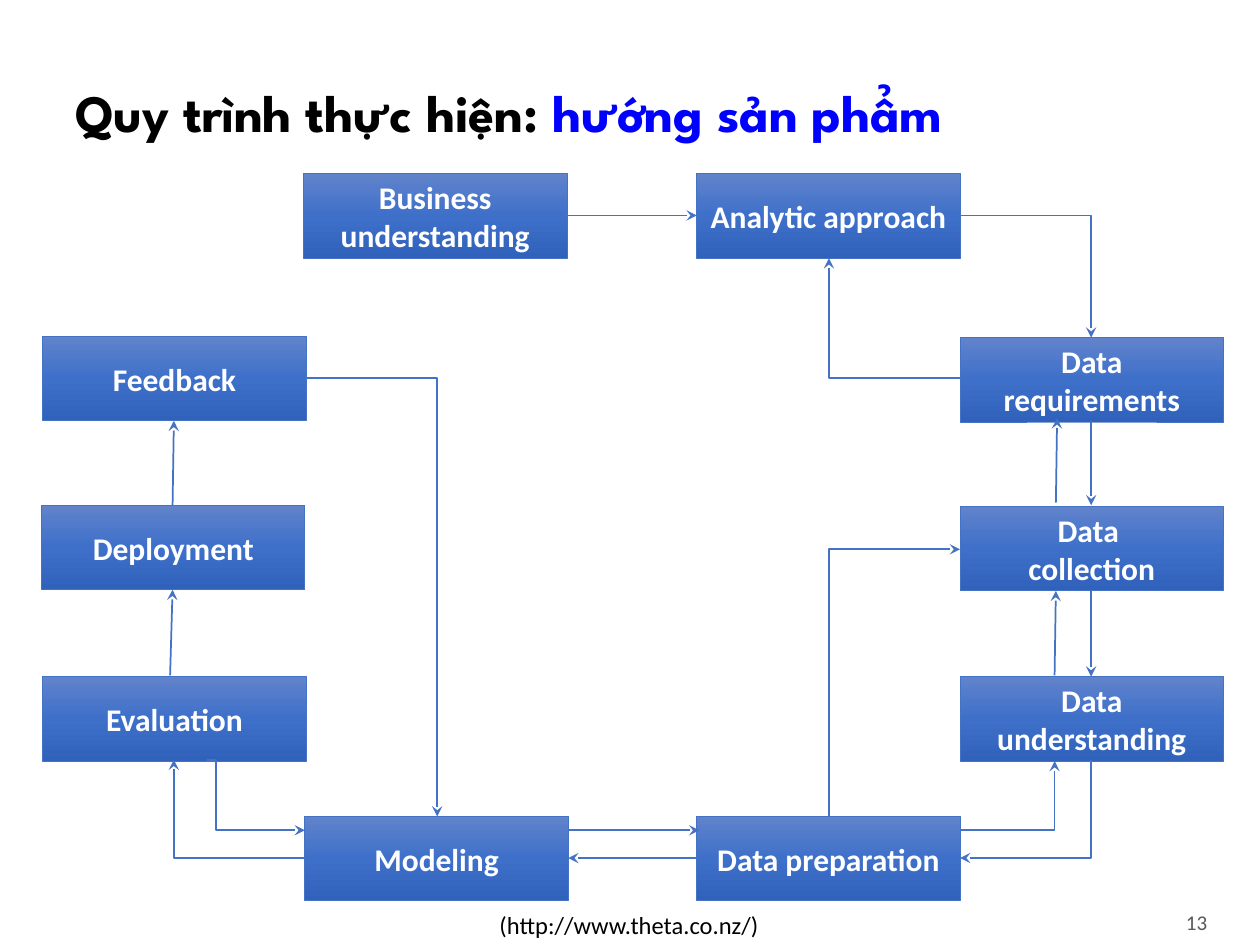
"""Build the product-oriented data science process slide."""
from copy import deepcopy
from typing import NamedTuple, Optional

from pptx import Presentation
from pptx import util as u
from pptx.dml.color import RGBColor
from pptx.enum import shapes, text
from pptx.oxml import parse_xml
from pptx.oxml.ns import nsdecls

PX = 9144
BOX_W, BOX_H = 209, 67
BLACK = RGBColor(0x00, 0x00, 0x00)
WHITE = RGBColor(0xFF, 0xFF, 0xFF)
BLUE = RGBColor(0x00, 0x00, 0xFF)
GREY = RGBColor(0x59, 0x59, 0x59)
LINE = RGBColor(0x44, 0x72, 0xC4)
GRADIENT = (
    (0, RGBColor(0x61, 0x83, 0xCB)),
    (0.5, RGBColor(0x3E, 0x70, 0xCA)),
    (1, RGBColor(0x30, 0x62, 0xBB)),
)


class Step(NamedTuple):
    label: str
    x: int
    y: int


class Arrow(NamedTuple):
    x1: int
    y1: int
    x2: int
    y2: int
    end: str = "tailEnd"


class Elbow(NamedTuple):
    x1: int
    y1: int
    x2: int
    y2: int
    end: str = "tailEnd"
    bend: Optional[int] = None


STEPS = (
    Step("Business understanding", 241, 138),
    Step("Analytic approach", 553, 138),
    Step("Data requirements", 762, 268),
    Step("Data \ncollection", 762, 402),
    Step("Data understanding", 762, 537),
    Step("Data preparation", 553, 648),
    Step("Modeling", 242, 648),
    Step("Evaluation", 34, 537),
    Step("Deployment", 33, 401),
    Step("Feedback", 34, 267),
)
ARROWS = (
    Arrow(449, 171, 553, 171),
    Arrow(866, 334, 866, 401),
    Arrow(866, 469, 866, 537),
    Arrow(137, 401, 138, 334),
    Arrow(135, 536, 137, 468),
    Arrow(837, 536, 838, 469),
    Arrow(838, 399, 839, 332),
    Arrow(553, 681, 451, 681),
    Arrow(555, 659, 452, 659, "headEnd"),
)
ELBOWS = (
    Elbow(762, 171, 866, 268),
    Elbow(762, 436, 658, 648, "headEnd"),
    Elbow(762, 681, 866, 603, "headEnd"),
    Elbow(242, 300, 347, 648),
    Elbow(242, 681, 138, 603),
    Elbow(242, 659, 164, 603, "headEnd", 90500),
    Elbow(762, 659, 837, 604),
    Elbow(762, 300, 658, 205),
)


def write(tf, *runs, size: int, color=BLACK, font: str = "Calibri", bold: bool = False,
          align=text.PP_ALIGN.LEFT, anchor=text.MSO_ANCHOR.MIDDLE, spacing: float = 1.0) -> None:
    """Fill a text frame with one paragraph of (text, colour) or plain runs."""
    tf.word_wrap = True
    tf.vertical_anchor = anchor
    p = tf.paragraphs[0]
    p.alignment = align
    p.line_spacing = spacing
    for run in runs:
        words, rgb = (run, color) if isinstance(run, str) else run
        for i, part in enumerate(words.split("\n")):
            if i:
                p.add_line_break()
            r = p.add_run()
            r.text = part
            r.font.name, r.font.size, r.font.bold = font, u.Pt(size), bold
            r.font.color.rgb = rgb


def add_text(s, x: int, y: int, w: int, h: int, *runs, **fmt) -> None:
    """Add a text box."""
    write(s.shapes.add_textbox(x * PX, y * PX, w * PX, h * PX).text_frame, *runs, **fmt)


def add_step(s, step: Step) -> None:
    """Add one gradient process box."""
    sp = s.shapes.add_shape(shapes.MSO_SHAPE.RECTANGLE, step.x * PX, step.y * PX,
                            BOX_W * PX, BOX_H * PX)
    sp.shadow.inherit = False
    sp.fill.gradient()
    sp.fill.gradient_angle = 270
    stops = sp._element.spPr.xpath(".//a:gsLst")[0]
    stops.insert(1, deepcopy(stops[0]))
    for stop, (position, rgb) in zip(sp.fill.gradient_stops, GRADIENT):
        stop.position = position
        stop.color.rgb = rgb
    sp.line.color.rgb = LINE
    sp.line.width = u.Pt(0.5)
    write(sp.text_frame, step.label, size=18, color=WHITE, bold=True,
          align=text.PP_ALIGN.CENTER)


def add_line(s, a: Arrow | Elbow, kind=shapes.MSO_CONNECTOR.STRAIGHT):
    """Add a connector with a stealth head at the named end."""
    c = s.shapes.add_connector(kind, a.x1 * PX, a.y1 * PX, a.x2 * PX, a.y2 * PX)
    c.line.color.rgb = LINE
    c.line.width = u.Pt(1)
    c.line._get_or_add_ln().append(parse_xml(f'<a:{a.end} {nsdecls("a")} type="stealth"/>'))
    c._element.spPr.append(parse_xml(f'<a:effectLst {nsdecls("a")}/>'))
    return c


def add_elbow(s, e: Elbow) -> None:
    """Add a connector that leaves horizontally and turns at a corner or bend."""
    geom = add_line(s, e, shapes.MSO_CONNECTOR.ELBOW)._element.spPr.prstGeom
    if e.bend is None:
        geom.set("prst", "bentConnector2")
    else:
        geom.get_or_add_avLst().append(
            parse_xml(f'<a:gd {nsdecls("a")} name="adj1" fmla="val {e.bend}"/>'))


def main() -> None:
    """Build and save the slide."""
    prs = Presentation()
    prs.slide_width, prs.slide_height = 1000 * PX, 750 * PX
    s = prs.slides.add_slide(prs.slide_layouts[6])
    add_text(s, 50, 50, 925, 83, "Quy trình thực hiện: ", ("hướng sản phẩm", BLUE),
             size=30, font="League Spartan", bold=True, spacing=0.9)
    add_text(s, 326, 717, 286, 34, "(http://www.theta.co.nz/)", size=14,
             align=text.PP_ALIGN.RIGHT, anchor=text.MSO_ANCHOR.TOP)
    add_text(s, 845, 714, 123, 36, "13", size=12, color=GREY, align=text.PP_ALIGN.RIGHT)
    for step in STEPS:
        add_step(s, step)
    for arrow in ARROWS:
        add_line(s, arrow)
    for elbow in ELBOWS:
        add_elbow(s, elbow)
    prs.save("out.pptx")


if __name__ == "__main__":
    main()
